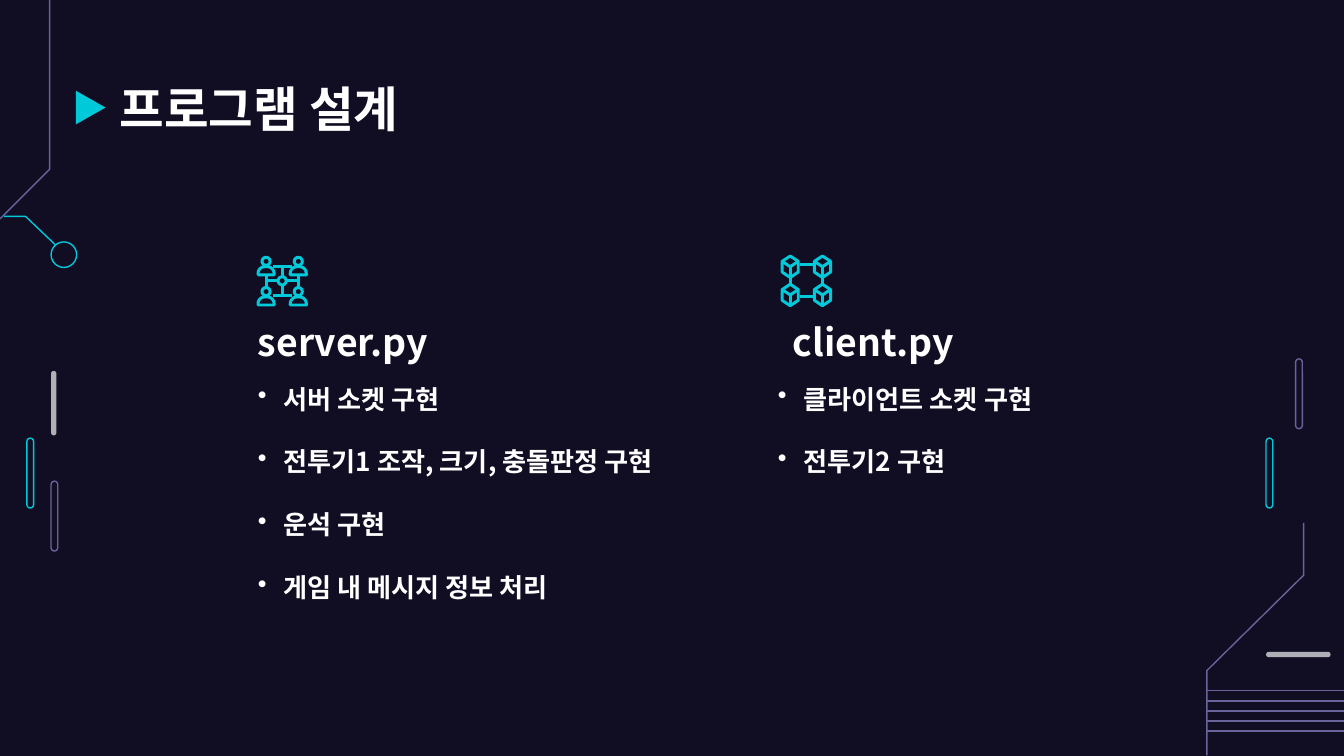
from itertools import product
from math import cos, radians, sin

from lxml.etree import SubElement
from pptx import Presentation
from pptx.dml.color import RGBColor
from pptx.enum.shapes import MSO_CONNECTOR, MSO_SHAPE
from pptx.enum.text import MSO_ANCHOR, MSO_AUTO_SIZE, PP_ALIGN
from pptx.oxml.ns import qn
from pptx.util import Inches, Pt

NAVY = RGBColor(0x11, 0x0E, 0x24)
CYAN = RGBColor(0x00, 0xCA, 0xDA)
PURPLE = RGBColor(0x69, 0x63, 0x9C)
GRAY = RGBColor(0xAF, 0xAF, 0xB6)
WHITE = RGBColor(0xFF, 0xFF, 0xFF)

BODY_FONT = "Noto Sans CJK KR"
TITLE_FONT = "Courier New"
THIN, ICON = 0.75, 1.6

SERVER_TASKS = ["서버 소켓 구현", "전투기1 조작, 크기, 충돌판정 구현",
                "운석 구현", "게임 내 메시지 정보 처리"]
CLIENT_TASKS = ["클라이언트 소켓 구현", "전투기2 구현"]


def style_outline(sp, color, width):
    sp.shadow.inherit = False
    sp.fill.background()
    sp.line.color.rgb = color
    sp.line.width = Pt(width)


def add_outline(slide, kind, x, y, w, h, color):
    sp = slide.shapes.add_shape(kind, Inches(x), Inches(y), Inches(w), Inches(h))
    style_outline(sp, color, THIN)
    return sp


def add_solid(slide, kind, x, y, w, h, color):
    sp = slide.shapes.add_shape(kind, Inches(x), Inches(y), Inches(w), Inches(h))
    sp.shadow.inherit = False
    sp.fill.solid()
    sp.fill.fore_color.rgb = color
    sp.line.fill.background()
    return sp


def add_strokes(slide, strokes, color, width=THIN):
    """Draw several polylines as one freeform."""
    builder = None
    for stroke in strokes:
        points = [(Inches(x), Inches(y)) for x, y in stroke]
        if builder is None:
            builder = slide.shapes.build_freeform(*points[0], scale=1.0)
        else:
            builder.move_to(*points[0])
        builder.add_line_segments(points[1:], close=False)
    style_outline(builder.convert_to_shape(), color, width)


def add_line(slide, x1, y1, x2, y2, color):
    line = slide.shapes.add_connector(MSO_CONNECTOR.STRAIGHT, Inches(x1), Inches(y1),
                                      Inches(x2), Inches(y2))
    line.line.color.rgb = color
    line.line.width = Pt(THIN)
    SubElement(line._element.spPr, qn("a:effectLst"))


def add_circuit_traces(slide):
    add_strokes(slide, [[(0.37, 0), (0.37, 1.26), (0, 1.63)]], PURPLE)
    add_strokes(slide, [[(0.41, 1.82), (0.19, 1.61), (0.03, 1.61)]], CYAN)
    add_outline(slide, MSO_SHAPE.OVAL, 0.38, 1.8, 0.19, 0.19, CYAN)
    add_strokes(slide, [[(9.7, 3.89), (9.7, 4.28), (8.98, 4.99), (8.98, 5.62)]], PURPLE)
    for i in range(5):
        y = 5.14 + 0.075 * i
        add_line(slide, 10, y, 8.98, y, PURPLE)


def add_pills(slide):
    for x, y, color in [(9.42, 3.26, CYAN), (9.64, 2.67, PURPLE),
                        (0.2, 3.26, CYAN), (0.38, 3.58, PURPLE)]:
        pill = add_outline(slide, MSO_SHAPE.ROUNDED_RECTANGLE, x, y, 0.05, 0.52, color)
        pill.adjustments[0] = 0.5
    for x, y, w, h in [(9.42, 4.85, 0.48, 0.04), (0.38, 2.76, 0.04, 0.48)]:
        bar = add_solid(slide, MSO_SHAPE.ROUNDED_RECTANGLE, x, y, w, h, GRAY)
        bar.adjustments[0] = 0.5


def arc(cx, cy, radius, start=0, end=360):
    return [(cx + radius * cos(radians(a)), cy + radius * sin(radians(a)))
            for a in range(start, end + 1, 15)]


def person(x, y):
    """Strokes of a head centred on x, y with shoulders below."""
    left, right, base = x - 0.06, x + 0.06, y + 0.1
    shoulders = arc(x - 0.01, y + 0.09, 0.05, 180, 270) + arc(x + 0.01, y + 0.09, 0.05, 270, 360)
    return [arc(x, y, 0.03), [(left, base), *shoulders, (right, base), (left, base)]]


def add_team_icon(slide, cx, cy):
    """Four people joined through a central hub."""
    strokes = [arc(cx, cy, 0.03)]
    for dx, dy in product((-0.12, 0.12), (-0.145, 0.08)):
        strokes += person(cx + dx, cy + dy)
    for side in (-1, 1):
        x, y = cx + 0.12 * side, cy + 0.11 * side
        strokes += [[(cx - 0.07, y), (cx + 0.07, y)],
                    [(cx, cy + 0.03 * side), (cx, y)],
                    [(cx + 0.03 * side, cy), (x, cy)],
                    [(x, cy - 0.04), (x, cy + 0.04)]]
    add_strokes(slide, strokes, CYAN, ICON)


def cube(cx, cy):
    w, shoulder, h = 0.06, 0.04, 0.08
    outline = [(0, -h), (w, -shoulder), (w, shoulder), (0, h),
               (-w, shoulder), (-w, -shoulder), (0, -h)]
    return [[(cx + dx, cy + dy) for dx, dy in outline],
            [(cx - w, cy - shoulder), (cx, cy), (cx + w, cy - shoulder)],
            [(cx, cy), (cx, cy + h)]]


def add_cubes_icon(slide, cx, cy):
    strokes = []
    for dx, dy in product((-0.12, 0.12), (-0.105, 0.105)):
        strokes += cube(cx + dx, cy + dy)
    for side in (-1, 1):
        x, y = cx + 0.12 * side, cy + 0.12 * side
        strokes += [[(cx - 0.05, y), (cx + 0.05, y)],
                    [(x, cy - 0.03), (x, cy + 0.03)]]
    add_strokes(slide, strokes, CYAN, ICON)


def prepare_frame(sp, x, y, w, h, anchor):
    sp.left, sp.top, sp.width, sp.height = Inches(x), Inches(y), Inches(w), Inches(h)
    tf = sp.text_frame
    tf.word_wrap = True
    tf.auto_size = MSO_AUTO_SIZE.NONE
    tf.vertical_anchor = anchor
    tf.margin_left = tf.margin_right = tf.margin_top = tf.margin_bottom = Inches(0.1)
    return tf


def add_run(p, text, size, font=BODY_FONT):
    p.alignment = PP_ALIGN.LEFT
    r = p.add_run()
    r.text = text
    r.font.size = Pt(size)
    r.font.bold = True
    r.font.color.rgb = WHITE
    r.font.name = font
    rPr = r._r.get_or_add_rPr()
    rPr.set("kern", "0")
    SubElement(rPr, qn("a:ea")).set("typeface", BODY_FONT)


def set_title(slide, text):
    tf = prepare_frame(slide.shapes.title, 0.79, 0.49, 8.43, 0.63, MSO_ANCHOR.MIDDLE)
    add_run(tf.paragraphs[0], text, 26, TITLE_FONT)
    marker = add_solid(slide, MSO_SHAPE.FLOWCHART_MERGE, 0.55, 0.69, 0.25, 0.22, CYAN)
    marker.rotation = 270


def add_heading(slide, text, x):
    sp = slide.shapes.add_textbox(0, 0, 0, 0)
    tf = prepare_frame(sp, x, 2.28, 2.86, 0.53, MSO_ANCHOR.BOTTOM)
    add_run(tf.paragraphs[0], text, 20)


def add_bullet(p):
    pPr = p._p.get_or_add_pPr()
    pPr.set("marL", str(Inches(0.19)))
    pPr.set("indent", str(-Inches(0.19)))
    color = SubElement(SubElement(pPr, qn("a:buClr")), qn("a:srgbClr"))
    color.set("val", str(WHITE))
    SubElement(pPr, qn("a:buChar")).set("char", "•")


def add_task_list(slide, tasks, x, w):
    sp = slide.shapes.add_textbox(0, 0, 0, 0)
    tf = prepare_frame(sp, x, 2.75, w, 1.61, MSO_ANCHOR.TOP)
    for i, task in enumerate(tasks):
        p = tf.add_paragraph() if i else tf.paragraphs[0]
        add_bullet(p)
        p.line_spacing = 1.0
        if i:
            p.space_before = Pt(16.8)
        add_run(p, task, 14)


def main():
    prs = Presentation()
    prs.slide_width = Inches(10)
    prs.slide_height = prs.slide_width * 9 // 16
    slide = prs.slides.add_slide(prs.slide_layouts[5])
    slide.background.fill.solid()
    slide.background.fill.fore_color.rgb = NAVY

    add_pills(slide)
    add_circuit_traces(slide)
    set_title(slide, "프로그램 설계")
    add_team_icon(slide, 2.1, 2.09)
    add_heading(slide, "server.py", 1.82)
    add_task_list(slide, SERVER_TASKS, 1.82, 3.55)
    add_cubes_icon(slide, 6, 2.09)
    add_heading(slide, "client.py", 5.8)
    add_task_list(slide, CLIENT_TASKS, 5.69, 3.15)
    prs.save("out.pptx")


if __name__ == "__main__":
    main()
